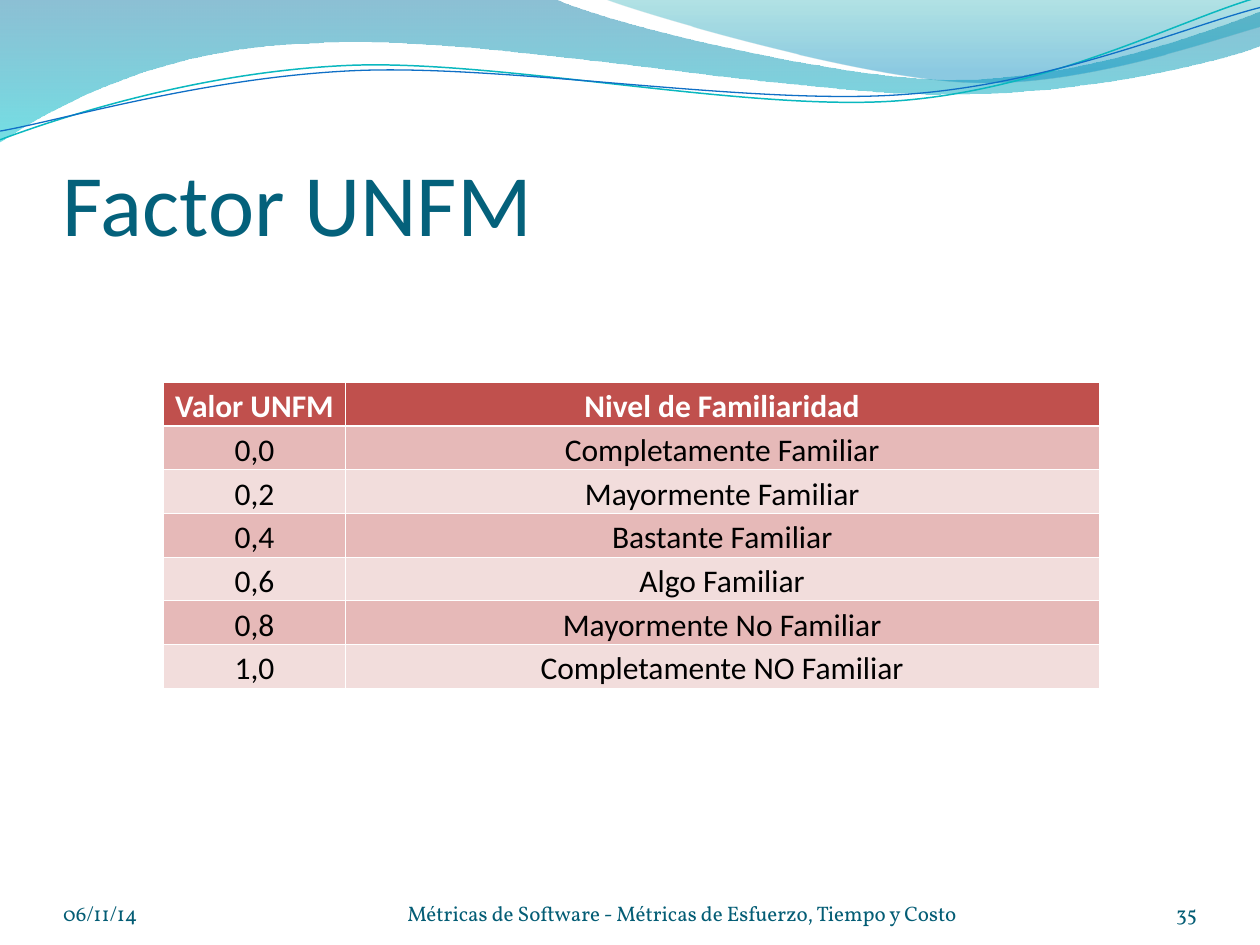
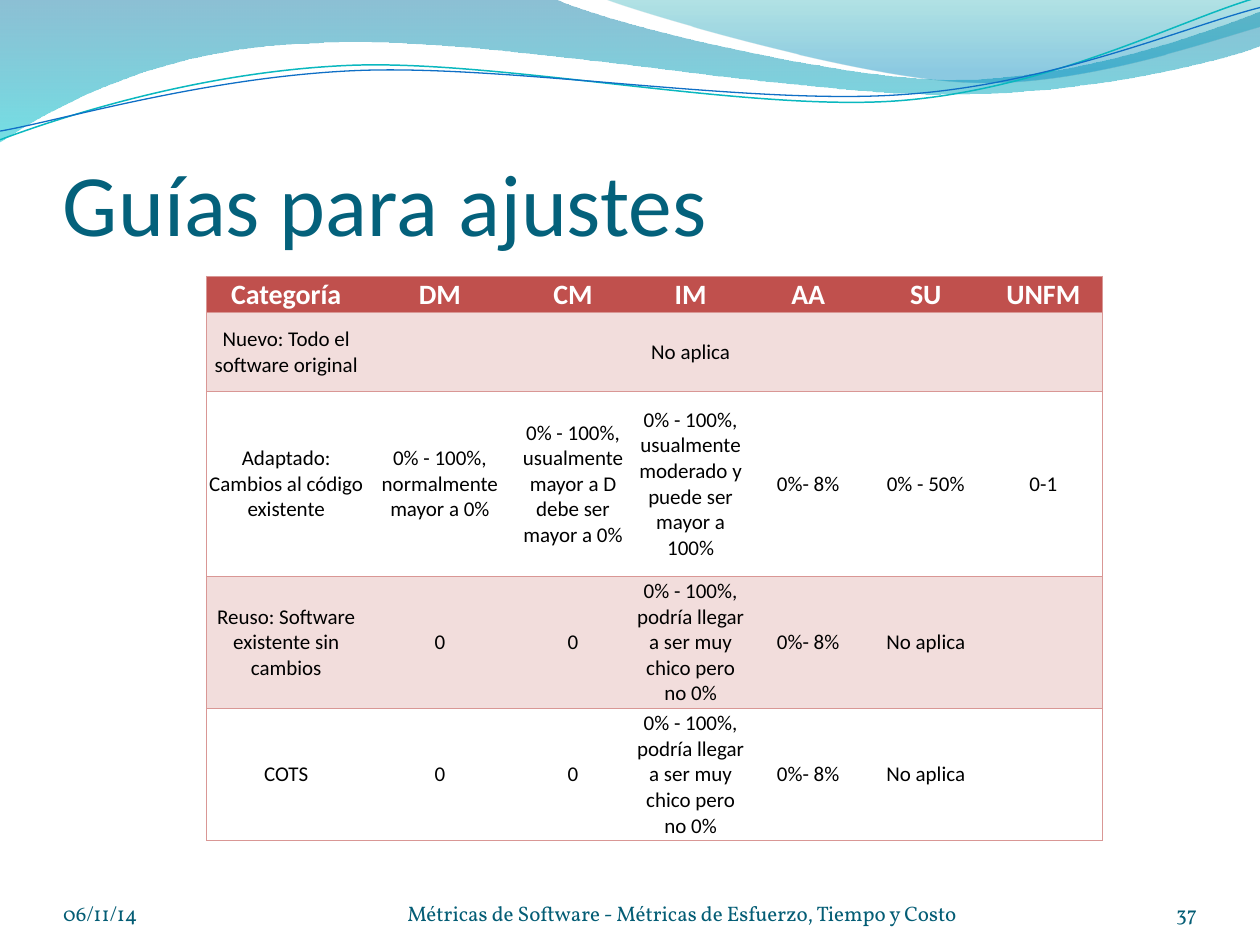
from pptx import Presentation
from pptx.dml.color import RGBColor
from pptx.enum.text import MSO_ANCHOR, PP_ALIGN
from pptx.oxml.ns import qn
from pptx.oxml.xmlchemy import OxmlElement
from pptx.util import Pt
from lxml.etree import SubElement

TITLE_COLOUR = "04617B"
FOOTER_COLOUR = "045D75"
HEADER_RED = "C0504D"
MID_RED = "E6B9B8"
PALE_RED = "F2DDDC"
BORDER_RED = "D99795"
WHITE = "FFFFFF"
BLACK = "000000"
TITLE_FONT = "Calibri"
FOOTER_FONT = "Vollkorn"
FOOTER = "Métricas de Software - Métricas de Esfuerzo, Tiempo y Costo"
DATE = "06/11/14"

# Outlines: a start point, then line ends (x, y) or curves (two handles and an end).
BROAD_WAVE = [
    (0, 0), (316.8, -0.7),
    (342.7, 12.2, 478.1, 45.4, 545.8, 45.4),
    (614.2, 45.4, 689.8, 18.7, 720, 6.5), (720.7, 25.9),
    (707.8, 31.7, 626.4, 54.7, 537.1, 54),
    (447.8, 54, 275, 20.2, 185, 24.5),
    (92.9, 25.9, 33.1, 59.8, -0.7, 81.4), (0, 0),
]
RIGHT_WAVE = [
    (344.9, -0.7),
    (366.5, 7.9, 491, 44.6, 553.7, 46.8),
    (616.3, 49.7, 691.9, 23, 720, 15.1), (720, 0), (344.9, -0.7),
]
TEAL_LINE = [
    (0, 79.9),
    (34.6, 67, 113.8, 41, 199.4, 37.4),
    (284.4, 33.8, 427, 64.1, 513.4, 57.6),
    (599.8, 51.1, 675.4, 10.8, 718.6, -1.4),
]
BLUE_LINE = [
    (0, 74.9),
    (33.8, 69.1, 118.1, 43.9, 203.8, 40.3),
    (290.2, 36.7, 429.8, 60.5, 516.2, 54),
    (601.9, 48.2, 677.5, 15.1, 720, 4.3),
]

FAMILIARITY = [
    ("Valor UNFM", "Nivel de Familiaridad"),
    ("0,0", "Completamente Familiar"),
    ("0,2", "Mayormente Familiar"),
    ("0,4", "Bastante Familiar"),
    ("0,6", "Algo Familiar"),
    ("0,8", "Mayormente No Familiar"),
    ("1,0", "Completamente NO Familiar"),
]
SMALL_IM = "0% - 100%, podría llegar a ser muy chico pero no 0%"
GUIDELINES = [
    ("Categoría", "DM", "CM", "IM", "AA", "SU", "UNFM"),
    ("Nuevo: Todo el software original", "", "", "No aplica", "", "", ""),
    ("Adaptado: Cambios al código existente",
     "0% - 100%, normalmente mayor a 0%",
     "0% - 100%, usualmente mayor a D debe ser mayor a 0%",
     "0% - 100%, usualmente moderado y puede ser mayor a 100%",
     "0%- 8%", "0% - 50%", "0-1"),
    ("Reuso: Software existente sin cambios", "0", "0", SMALL_IM, "0%- 8%", "No aplica", ""),
    ("COTS", "0", "0", SMALL_IM, "0%- 8%", "No aplica", ""),
]


def colour(value):
    return RGBColor.from_string(value)


class WaveDeck:
    """Holds the wave style and the page being built."""

    def __init__(self):
        self.deck = Presentation()
        self.deck.slide_width, self.deck.slide_height = Pt(720), Pt(540)
        self.page = None

    def add_page(self, title, number):
        self.page = self.deck.slides.add_slide(self.deck.slide_layouts[6])
        self.wave(BROAD_WAVE, [(0, "0074A1", 45), (1, "00C6CF", 55)])
        self.wave(RIGHT_WAVE, [(0, "00A1A9", 30), (0.8, "008BBF", 45)])
        self.curve(TEAL_LINE, "0AB8BF", 0.85)
        self.curve(BLUE_LINE, "0F6FC6", 0.75)
        self.text(title, 36, 55.4, 648, 90, 50, TITLE_FONT, TITLE_COLOUR, top_inset=3.6)
        for label, left, width, align in (
            (DATE, 36, 168, PP_ALIGN.LEFT),
            (FOOTER, 210, 360, PP_ALIGN.CENTER),
            (number, 624, 60, PP_ALIGN.RIGHT),
        ):
            self.text(label, left, 500.4, width, 28.8, 12, FOOTER_FONT, FOOTER_COLOUR, align)

    def outline(self, outline, closed):
        """Build straight segments through all points, then join each curve's three."""
        points = [(Pt(x), Pt(y)) for step in outline for x, y in zip(step[::2], step[1::2])]
        builder = self.page.shapes.build_freeform(*points[0])
        builder.add_line_segments(points[1:], close=closed)
        shape = builder.convert_to_shape()
        shape.shadow.inherit = False
        segments = iter(list(shape._element.iter(qn("a:lnTo"))))
        for step in outline[1:]:
            first = next(segments)
            if len(step) == 2:
                continue
            bend = OxmlElement("a:cubicBezTo")
            first.addprevious(bend)
            for segment in (first, next(segments), next(segments)):
                bend.append(segment[0])
                segment.getparent().remove(segment)
        return shape

    def wave(self, outline, stops):
        """Draw a closed shape shaded downwards; stops are (place, colour, opacity %)."""
        shape = self.outline(outline, True)
        shape.line.fill.background()
        shape.fill.gradient()
        shape.fill.gradient_angle = 270
        for stop, (place, value, _) in zip(shape.fill.gradient_stops, stops):
            stop.position = place
            stop.color.rgb = colour(value)
        for tint, (_, _, opacity) in zip(shape._element.spPr.iter(qn("a:srgbClr")), stops):
            SubElement(tint, qn("a:alpha")).set("val", str(opacity * 1000))

    def curve(self, outline, value, width):
        shape = self.outline(outline, False)
        shape.fill.background()
        shape.line.color.rgb = colour(value)
        shape.line.width = Pt(width)

    def span(self, para, text, size, font, value, bold=False):
        span = para.add_run()
        span.text = text
        span.font.size = Pt(size)
        span.font.name = font
        span.font.bold = bold
        span.font.color.rgb = colour(value)

    def text(self, text, left, top, width, height, size, font, value,
             align=PP_ALIGN.LEFT, top_inset=0):
        box = self.page.shapes.add_textbox(Pt(left), Pt(top), Pt(width), Pt(height))
        frame = box.text_frame
        frame.word_wrap = True
        frame.vertical_anchor = MSO_ANCHOR.BOTTOM
        frame.margin_left = frame.margin_right = frame.margin_bottom = 0
        frame.margin_top = Pt(top_inset)
        para = frame.paragraphs[0]
        para.alignment = align
        self.span(para, text, size, font, value)

    def border(self, cell, side, value, width):
        """Set one side (L, R, T or B) of a cell; a width of 0 hides it."""
        line = SubElement(cell._tc.get_or_add_tcPr(), qn(f"a:ln{side}"))
        line.set("w", str(Pt(width)))
        if width:
            fill = SubElement(line, qn("a:solidFill"))
            SubElement(fill, qn("a:srgbClr")).set("val", value)
        else:
            SubElement(line, qn("a:noFill"))

    def table(self, rows, left, top, widths, heights, sizes, bands, body_anchor,
              border, header_rule=0.5, inner_rules=True):
        """Draw a table; sizes are for header and body, bands are the body fills in turn."""
        frame = self.page.shapes.add_table(len(rows), len(widths), Pt(left), Pt(top),
                                           Pt(sum(widths)), Pt(sum(heights)))
        table = frame.table
        table.first_row = table.horz_banding = False
        for column, width in zip(table.columns, widths):
            column.width = Pt(width)
        for row, height in zip(table.rows, heights):
            row.height = Pt(height)
        last = len(widths) - 1
        for r, row in enumerate(rows):
            header = r == 0
            fill = HEADER_RED if header else bands[(r - 1) % len(bands)]
            for c, text in enumerate(row):
                cell = table.cell(r, c)
                cell.margin_left = cell.margin_right = cell.margin_top = Pt(0.72)
                cell.margin_bottom = 0
                cell.vertical_anchor = MSO_ANCHOR.BOTTOM if header else body_anchor
                for side, width in (
                    ("L", 0.5 if inner_rules or c == 0 else 0),
                    ("R", 0.5 if inner_rules or c == last else 0),
                    ("T", header_rule if r == 1 else 0.5),
                    ("B", header_rule if header else 0.5),
                ):
                    self.border(cell, side, border, width)
                if fill:
                    cell.fill.solid()
                    cell.fill.fore_color.rgb = colour(fill)
                else:
                    cell.fill.background()
                if text:
                    para = cell.text_frame.paragraphs[0]
                    para.alignment = PP_ALIGN.CENTER
                    self.span(para, text, sizes[0 if header else 1], TITLE_FONT,
                              WHITE if header else BLACK, header)


def main():
    waves = WaveDeck()

    waves.add_page("Factor UNFM", "35")
    waves.table(FAMILIARITY, 93.6, 218.6, [103.7, 430.8], [24.95] * 7, (18, 18),
                [MID_RED, PALE_RED], MSO_ANCHOR.BOTTOM, WHITE, header_rule=1.5)

    waves.add_page("Guías para ajustes", "37")
    waves.table(GUIDELINES, 118.2, 157.9, [90.7, 85] + [67.2] * 5,
                [20.4, 45.2, 105.7, 75.5, 75.5], (16, 12),
                [PALE_RED, None], MSO_ANCHOR.MIDDLE, BORDER_RED, inner_rules=False)

    waves.deck.save("out.pptx")


if __name__ == "__main__":
    main()
